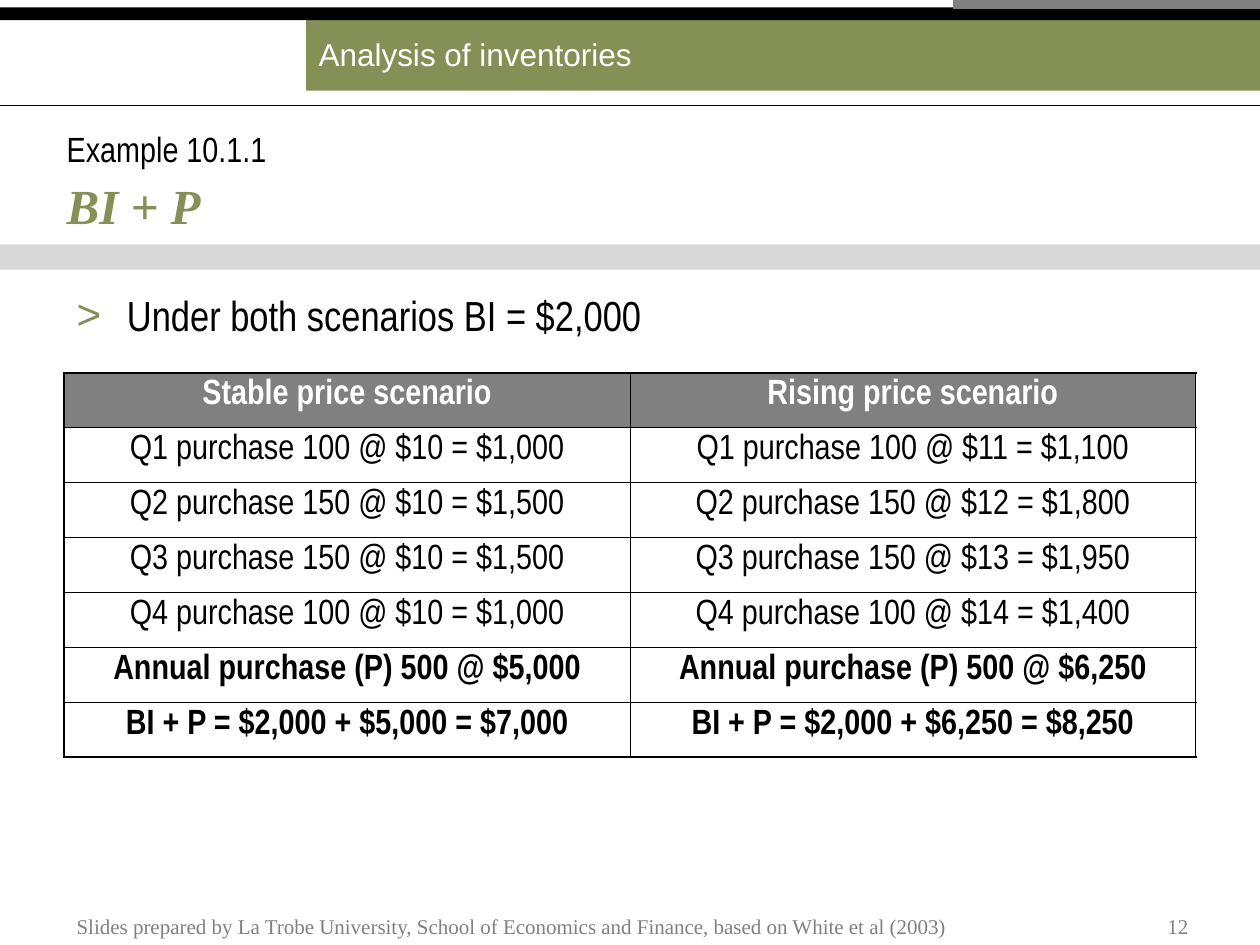
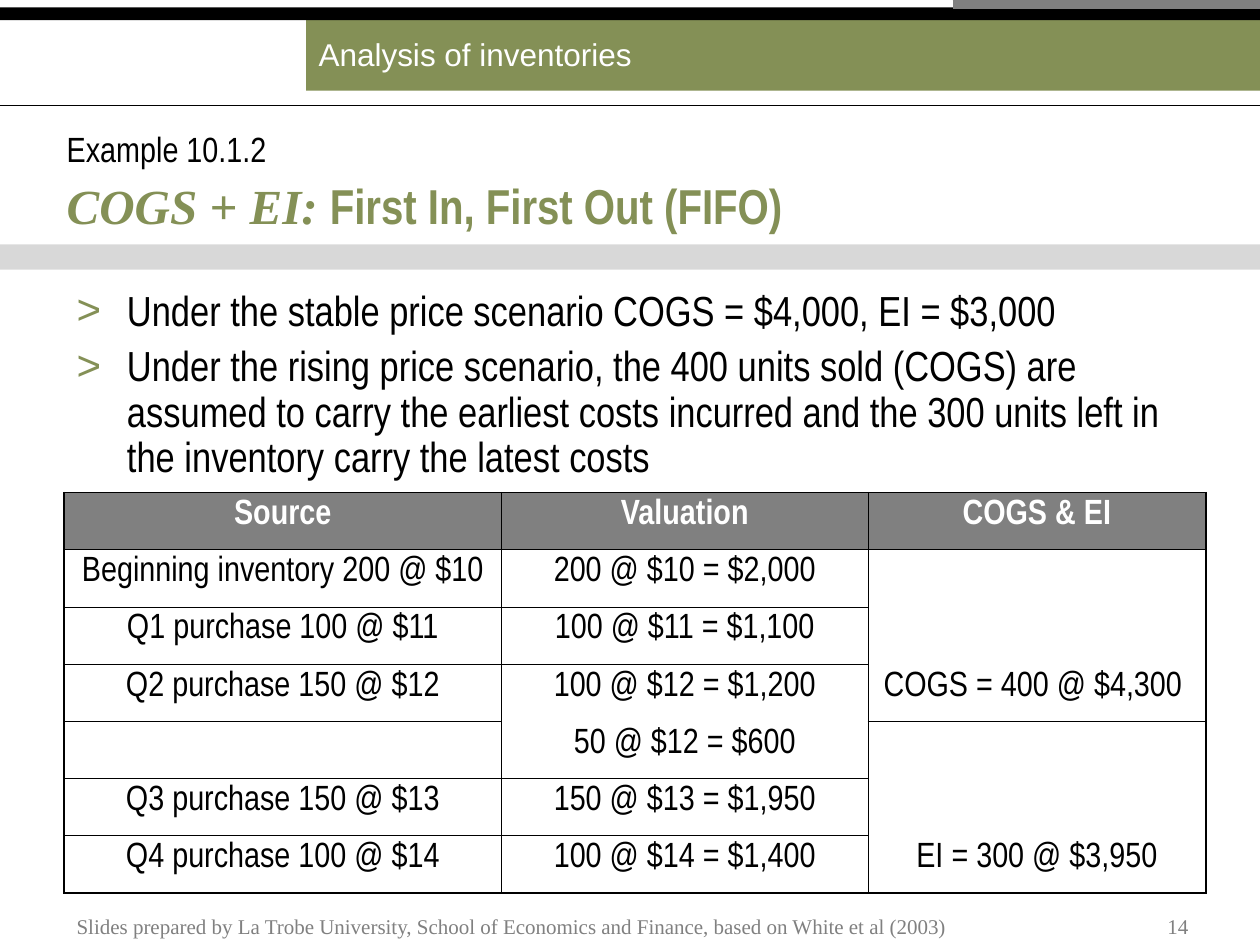
from dataclasses import dataclass
from lxml import etree
from pptx import Presentation
from pptx import util as u
from pptx.dml.color import RGBColor
from pptx.enum import shapes, text
from pptx.oxml.ns import qn


@dataclass(frozen=True)
class Type:
    """Size, font, colour and weight of a run."""
    size: int
    font: str
    color: str
    bold: bool = False
    slant: bool = False


class Theme:
    """Colours, type sizes and line widths of the deck."""
    olive, gray, black, white = "849056", "808080", "000000", "FFFFFF"
    narrow, serif, sans = "Arial Narrow", "Times New Roman", "Arial"
    band = Type(18, sans, white)
    label = Type(20, narrow, black)
    term = Type(28, serif, olive, True, True)
    title = Type(28, narrow, olive, True)
    body = Type(24, narrow, black)
    head = Type(20, narrow, white, True)
    cell = Type(20, narrow, black)
    total = Type(20, narrow, black, True)
    foot = Type(12, serif, gray)
    thin, thick = 0.45, 1.08
    pad, slim = (0.1, 0.05), (0.02, 0)


def rgb(color):
    """Turn a hex string into a colour."""
    return RGBColor.from_string(color)


def node(parent, tag, **attrs):
    """Append a drawing element."""
    return etree.SubElement(parent, qn("a:" + tag), attrs)


class Deck:
    """Draws on the current slide, on a grid of 100 columns by 75 rows."""

    def __init__(self, theme):
        """Open an empty deck."""
        self.theme = theme
        self.prs = Presentation()
        self.prs.slide_width, self.prs.slide_height = u.Inches(10), u.Inches(7.5)
        self.unit = self.prs.slide_width / 100

    def grid(self, *spots):
        """Turn columns and rows into lengths."""
        return [u.Emu(round(s * self.unit)) for s in spots]

    def style(self, par, runs):
        """Put styled runs into a paragraph."""
        par.text = runs[0][0]
        for words, _ in runs[1:]:
            par.add_run().text = words
        for run, (_, kind) in zip(par.runs, runs):
            font = run.font
            font.size, font.name = u.Pt(kind.size), kind.font
            font.bold, font.italic = kind.bold, kind.slant
            font.color.rgb = rgb(kind.color)

    def setup(self, frame, anchor, pad):
        """Set wrap, anchor and insets of a frame."""
        frame.word_wrap, frame.vertical_anchor = True, anchor
        frame.margin_left = frame.margin_right = u.Inches(pad[0])
        frame.margin_top = frame.margin_bottom = u.Inches(pad[1])

    def label(self, box, runs, anchor=text.MSO_ANCHOR.MIDDLE, pad=Theme.slim,
              align=text.PP_ALIGN.LEFT):
        """Add a one-paragraph text box."""
        frame = self.slide.shapes.add_textbox(*self.grid(*box)).text_frame
        self.setup(frame, anchor, pad)
        self.style(frame.paragraphs[0], runs)
        frame.paragraphs[0].alignment = align

    def points(self, box, items, lead):
        """Add a bulleted list."""
        frame = self.slide.shapes.add_textbox(*self.grid(*box)).text_frame
        self.setup(frame, text.MSO_ANCHOR.TOP, self.theme.pad)
        for i, item in enumerate(items):
            par = frame.add_paragraph() if i else frame.paragraphs[0]
            props = par._p.get_or_add_pPr()
            props.set("marL", str(u.Inches(0.4)))
            props.set("indent", str(-u.Inches(0.4)))
            node(node(props, "buClr"), "srgbClr", val=self.theme.olive)
            node(props, "buFont", typeface=self.theme.sans)
            node(props, "buChar", char=">")
            par.line_spacing = lead
            if i:
                par.space_before = u.Pt(6)
            self.style(par, [(item, self.theme.body)])

    def bar(self, box, color, alpha=100):
        """Add a plain filled rectangle."""
        bar = self.slide.shapes.add_shape(shapes.MSO_SHAPE.RECTANGLE, *self.grid(*box))
        bar.shadow.inherit = False
        bar.fill.solid()
        bar.fill.fore_color.rgb = rgb(color)
        bar.line.fill.background()
        if alpha < 100:
            tint = bar._element.spPr.find(qn("a:solidFill"))[0]
            node(tint, "alpha", val=str(alpha * 1000))
        return bar

    def rule(self, left, row, color, width):
        """Add a level line to the right edge."""
        line = self.slide.shapes.add_connector(
            shapes.MSO_CONNECTOR.STRAIGHT, *self.grid(left, row, 100, row))
        line.line.color.rgb, line.line.width = rgb(color), u.Pt(width)
        node(line._element.spPr, "effectLst")

    def edge(self, cell, side, width):
        """Draw one cell border, or none for zero width."""
        line = node(cell._tc.get_or_add_tcPr(), "ln" + side, w=str(u.Pt(width)))
        if width:
            node(node(line, "solidFill"), "srgbClr", val=self.theme.black)
        else:
            node(line, "noFill")

    def table(self, box, cols, rows, totals=0, joined=()):
        """Add a table; joined lists cells with no border below."""
        t = self.theme
        count, last = len(rows), len(cols) - 1
        grid = self.slide.shapes.add_table(count, len(cols), *self.grid(*box)).table
        for col, width in zip(grid.columns, self.grid(*cols)):
            col.width = width
        for r, row in enumerate(rows):
            grid.rows[r].height = self.grid(box[3] / count)[0]
            kind = t.head if r == 0 else t.total if r >= count - totals else t.cell
            for c, words in enumerate(row):
                cell = grid.cell(r, c)
                par = cell.text_frame.paragraphs[0]
                par.alignment = text.PP_ALIGN.CENTER
                if words:
                    self.style(par, [(words, kind)])
                else:
                    par.font.size = u.Pt(kind.size)
                sides = {"L": c == 0, "R": c == last, "T": r == 0, "B": r == count - 1}
                bare = {"T": (r - 1, c) in joined, "B": (r, c) in joined}
                for side, outer in sides.items():
                    width = t.thick if outer else t.thin
                    self.edge(cell, side, 0 if bare.get(side) else width)
                if r == 0:
                    cell.fill.solid()
                    cell.fill.fore_color.rgb = rgb(t.gray)
                else:
                    cell.fill.background()

    def page(self, number, topic, title):
        """Start a slide with its bands, headings and footer."""
        t = self.theme
        self.slide = self.prs.slides.add_slide(self.prs.slide_layouts[6])
        self.bar((0, 19.4, 100, 2), t.gray, 30)
        frame = self.bar((24.3, 1.3, 75.7, 5.9), t.olive).text_frame
        self.setup(frame, text.MSO_ANCHOR.MIDDLE, t.pad)
        self.style(frame.paragraphs[0], [("Analysis of inventories", t.band)])
        frame.paragraphs[0].alignment = text.PP_ALIGN.LEFT
        self.bar((0, 0.6, 100, 1), t.black)
        self.rule(75.6, 0.35, t.gray, 5)
        self.rule(0, 8.35, t.black, 0.75)
        self.label((5.1, 14.7, 90.6, 3.1), title)
        self.label((5.1, 10.6, 90.6, 2.4), [(topic, t.label)])
        low = text.MSO_ANCHOR.BOTTOM
        self.label((5.1, 70.6, 82.7, 4.4), [(
            "Slides prepared by La Trobe University, School of Economics and Finance, "
            "based on White et al (2003)", t.foot)], low, t.pad)
        self.label((88.3, 71.4, 7, 3.6), [(number, t.foot)], low, t.pad,
                   text.PP_ALIGN.RIGHT)


def main():
    """Build both slides."""
    t = Theme
    deck = Deck(t)

    deck.page("12", "Example 10.1.1", [("BI + P", t.term)])
    deck.points((5.1, 22.5, 90, 5.5), ["Under both scenarios BI = $2,000"], 1.0)
    deck.table((5.1, 29.6, 89.8, 30.5), (44.9, 44.9), [
        ("Stable price scenario", "Rising price scenario"),
        ("Q1 purchase 100 @ $10 = $1,000", "Q1 purchase 100 @ $11 = $1,100"),
        ("Q2 purchase 150 @ $10 = $1,500", "Q2 purchase 150 @ $12 = $1,800"),
        ("Q3 purchase 150 @ $10 = $1,500", "Q3 purchase 150 @ $13 = $1,950"),
        ("Q4 purchase 100 @ $10 = $1,000", "Q4 purchase 100 @ $14 = $1,400"),
        ("Annual purchase (P) 500 @ $5,000", "Annual purchase (P) 500 @ $6,250"),
        ("BI + P = $2,000 + $5,000 = $7,000", "BI + P = $2,000 + $6,250 = $8,250"),
    ], totals=2)

    deck.page("14", "Example 10.1.2",
              [("COGS + EI: ", t.term), ("First In, First Out (FIFO)", t.title)])
    deck.points((5.1, 22.5, 90, 16.5), [
        "Under the stable price scenario COGS = $4,000, EI = $3,000",
        "Under the rising price scenario, the 400 units sold (COGS) are assumed to "
        "carry the earliest costs incurred and the 300 units left in the inventory "
        "carry the latest costs"], 0.9)
    deck.table((5.1, 39.1, 90.6, 31.8), (34.7, 29.1, 26.8), [
        ("Source", "Valuation", "COGS & EI"),
        ("Beginning inventory 200 @ $10", "200 @ $10 = $2,000", ""),
        ("Q1 purchase 100 @ $11", "100 @ $11 = $1,100", ""),
        ("Q2 purchase 150 @ $12", "100 @ $12 = $1,200", "COGS = 400 @ $4,300 "),
        ("", "50 @ $12 = $600", ""),
        ("Q3 purchase 150 @ $13", "150 @ $13 = $1,950", ""),
        ("Q4 purchase 100 @ $14", "100 @ $14 = $1,400", "EI = 300 @ $3,950"),
    ], joined={(1, 2), (2, 2), (3, 1), (4, 2), (5, 2)})

    deck.prs.save("out.pptx")


if __name__ == "__main__":
    main()
